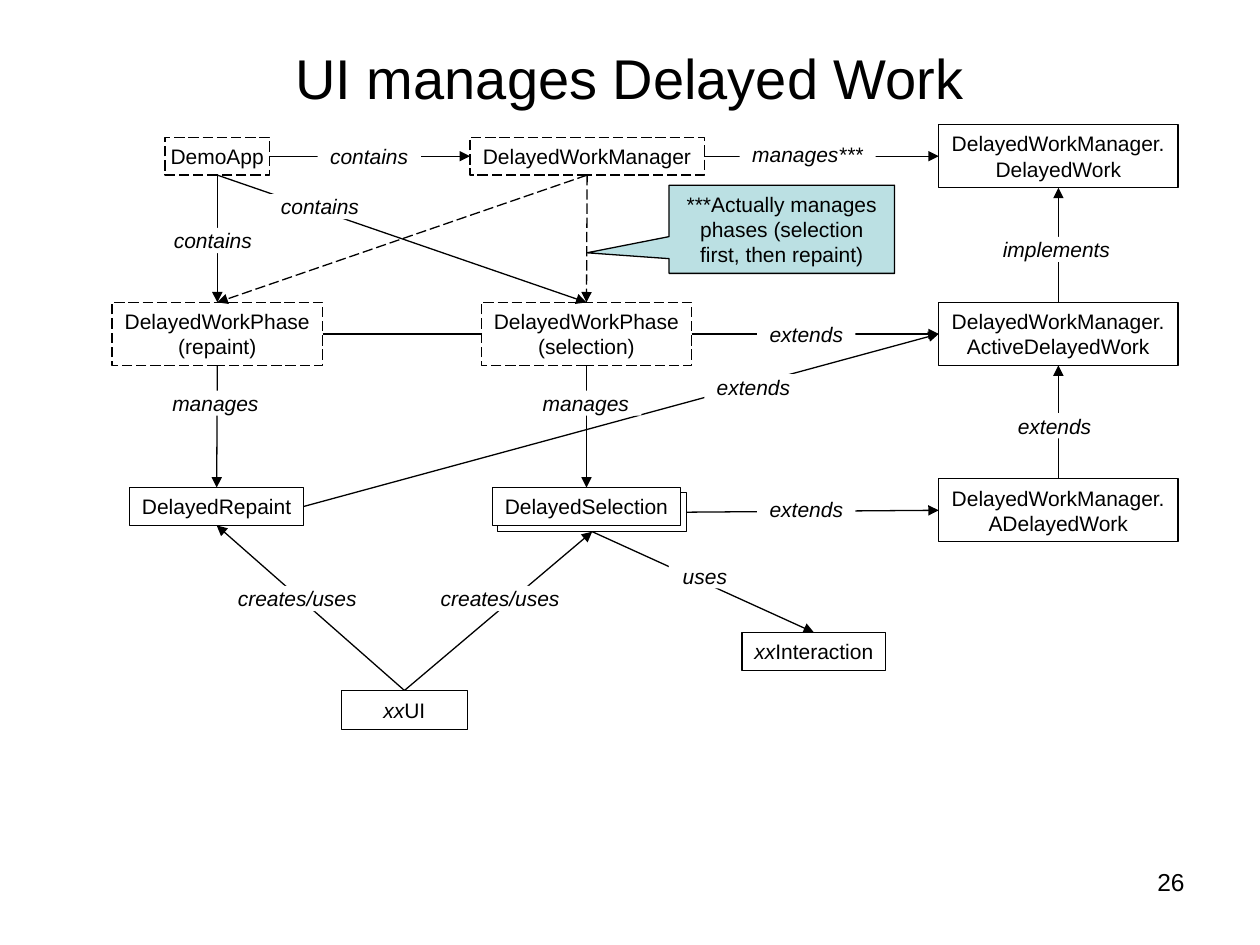
from pptx import Presentation
from pptx.dml.color import RGBColor
from pptx.enum.dml import MSO_LINE
from pptx.enum.shapes import MSO_CONNECTOR, MSO_SHAPE
from pptx.enum.text import MSO_ANCHOR, PP_ALIGN
from pptx.oxml.ns import qn
from pptx.util import Inches, Pt
from lxml.etree import SubElement

BLACK, WHITE, PALE_BLUE = "000000", "FFFFFF", "BBE0E3"
TOP, LEFT, BOTTOM, RIGHT = range(4)
PREFIX = "xx"

# name: (left, top, width, height, lines of text, dashed)
BOXES = {
    "selection back": (3.95, 3.91, 1.5, 0.31, [], False),
    "manager": (3.73, 1.09, 1.86, 0.3, ["DelayedWorkManager"], True),
    "tool": (1.31, 1.09, 0.83, 0.3, ["DemoApp"], True),
    "selection phase": (3.82, 2.4, 1.67, 0.5, ["DelayedWorkPhase", "(selection)"], True),
    "repaint phase": (0.89, 2.4, 1.67, 0.5, ["DelayedWorkPhase", "(repaint)"], True),
    "ui": (2.71, 5.48, 1, 0.31, ["xxUI"], False),
    "selection": (3.91, 3.87, 1.49, 0.3, ["DelayedSelection"], False),
    "abstract work": (7.45, 3.8, 1.9, 0.5, ["DelayedWorkManager.", "ADelayedWork"], False),
    "active work": (7.45, 2.4, 1.9, 0.5, ["DelayedWorkManager.", "ActiveDelayedWork"], False),
    "work": (7.45, 0.99, 1.9, 0.5, ["DelayedWorkManager.", "DelayedWork"], False),
    "repaint": (1.03, 3.87, 1.38, 0.3, ["DelayedRepaint"], False),
    "interaction": (5.89, 5.02, 1.14, 0.3, ["xxInteraction"], False),
}

LINKS = [
    ("tool", RIGHT, "manager", LEFT),
    ("tool", BOTTOM, "repaint phase", TOP),
    ("tool", BOTTOM, "selection phase", TOP),
    ("manager", RIGHT, "work", LEFT),
    ("selection phase", BOTTOM, "selection", TOP),
    ("active work", TOP, "work", BOTTOM),
    ("abstract work", TOP, "active work", BOTTOM),
    ("selection back", RIGHT, "abstract work", LEFT),
    ("repaint", RIGHT, "active work", LEFT),
    ("selection phase", RIGHT, "active work", LEFT),
    ("repaint phase", BOTTOM, "repaint", TOP),
    ("ui", TOP, "repaint", BOTTOM),
    ("ui", TOP, "selection back", BOTTOM),
    ("selection back", BOTTOM, "interaction", TOP),
]

LABELS = [
    ("contains", 2.52, 1.14, 0.82),
    ("contains", 2.13, 1.54, 0.82),
    ("contains", 1.28, 1.81, 0.82),
    ("manages***", 5.87, 1.12, 1.08),
    ("manages", 4.21, 3.1, 0.88),
    ("manages", 1.27, 3.1, 0.88),
    ("implements", 7.86, 1.88, 1.05),
    ("extends", 7.98, 3.28, 0.78),
    ("extends", 6.01, 3.94, 0.78),
    ("extends", 6.01, 2.55, 0.78),
    ("extends", 5.59, 2.97, 0.78),
    ("creates/uses", 1.79, 4.65, 1.14),
    ("creates/uses", 3.4, 4.65, 1.14),
    ("uses", 5.31, 4.47, 0.57),
]


def color(value):
    """Return the colour for a hex string."""
    return RGBColor.from_string(value)


def format_paragraph(paragraph, size=12, align=PP_ALIGN.CENTER):
    """Set the alignment and the shared font of a paragraph."""
    paragraph.alignment = align
    paragraph.font.name = "Arial"
    paragraph.font.size = Pt(size)
    paragraph.font.color.rgb = color(BLACK)


def set_outline(line, dashed=False):
    """Give a shape or connector its thin black line."""
    line.color.rgb = color(BLACK)
    line.width = Pt(0.75)
    if dashed:
        line.dash_style = MSO_LINE.LONG_DASH


def add_panel(slide, kind, left, top, width, height, fill=WHITE):
    """Add a filled shape without shadow or line."""
    shape = slide.shapes.add_shape(
        kind, Inches(left), Inches(top), Inches(width), Inches(height))
    shape.shadow.inherit = False
    shape.fill.solid()
    shape.fill.fore_color.rgb = color(fill)
    shape.line.fill.background()
    return shape


def add_box(slide, left, top, width, height, lines, dashed):
    """Add a class box whose xx prefix is italic."""
    shape = add_panel(slide, MSO_SHAPE.RECTANGLE, left, top, width, height)
    set_outline(shape.line, dashed)
    frame = shape.text_frame
    frame.word_wrap = False
    frame.text = "\n".join(lines)
    for paragraph in frame.paragraphs:
        format_paragraph(paragraph)
        if paragraph.text.startswith(PREFIX):
            name = paragraph.text.removeprefix(PREFIX)
            paragraph.runs[0].text = PREFIX
            paragraph.runs[0].font.italic = True
            paragraph.add_run().text = name
    return shape


def add_link(slide, start, start_site, end, end_site, dashed=False, arrow=True):
    """Connect two boxes with a straight line."""
    connector = slide.shapes.add_connector(MSO_CONNECTOR.STRAIGHT, 0, 0, 0, 0)
    connector.begin_connect(start, start_site)
    connector.end_connect(end, end_site)
    set_outline(connector.line, dashed)
    if arrow:
        SubElement(connector.line._get_or_add_ln(), qn("a:tailEnd"), type="triangle")
    SubElement(connector._element.spPr, qn("a:effectLst"))


def add_label(slide, text, left, top, width):
    """Add an italic relation name that interrupts its line."""
    shape = add_panel(slide, MSO_SHAPE.RECTANGLE, left, top, width, 0.2)
    frame = shape.text_frame
    frame.word_wrap = False
    frame.margin_top = frame.margin_bottom = 0
    frame.text = text
    format_paragraph(frame.paragraphs[0])
    frame.paragraphs[0].font.italic = True


def add_callout(slide):
    """Add the note on what the manager handles."""
    shape = add_panel(slide, MSO_SHAPE.RECTANGULAR_CALLOUT, 5.31, 1.47, 1.79, 0.7, PALE_BLUE)
    shape.adjustments[0], shape.adjustments[1] = -0.864, 0.267
    set_outline(shape.line)
    shape.text_frame.word_wrap = True
    shape.text_frame.text = "***Actually manages phases (selection first, then repaint)"
    format_paragraph(shape.text_frame.paragraphs[0])


def set_title(slide, text):
    """Place and format the slide title."""
    title = slide.shapes.title
    title.left, title.top = Inches(0.5), Inches(0.3)
    title.width, title.height = Inches(9), Inches(0.62)
    title.text_frame.text = text
    title.text_frame.vertical_anchor = MSO_ANCHOR.MIDDLE
    format_paragraph(title.text_frame.paragraphs[0], 32)


def add_page_number(slide, number):
    """Add the page number at the lower right."""
    shape = slide.shapes.add_textbox(Inches(7.75), Inches(6.83), Inches(1.75), Inches(0.52))
    shape.text_frame.word_wrap = True
    shape.text_frame.text = str(number)
    format_paragraph(shape.text_frame.paragraphs[0], 14, PP_ALIGN.RIGHT)


def main():
    """Build the slide and save it."""
    presentation = Presentation()
    presentation.slide_width, presentation.slide_height = Inches(10), Inches(7.5)
    slide = presentation.slides.add_slide(presentation.slide_layouts[5])
    set_title(slide, "UI manages Delayed Work")
    boxes = {name: add_box(slide, *values) for name, values in BOXES.items()}
    for start, start_site, end, end_site in LINKS:
        add_link(slide, boxes[start], start_site, boxes[end], end_site)
    for phase in ("repaint phase", "selection phase"):
        add_link(slide, boxes["manager"], BOTTOM, boxes[phase], TOP, dashed=True)
    add_link(slide, boxes["repaint phase"], RIGHT, boxes["selection phase"], LEFT, arrow=False)
    for label in LABELS:
        add_label(slide, *label)
    add_callout(slide)
    add_page_number(slide, 26)
    presentation.save("out.pptx")


if __name__ == "__main__":
    main()
